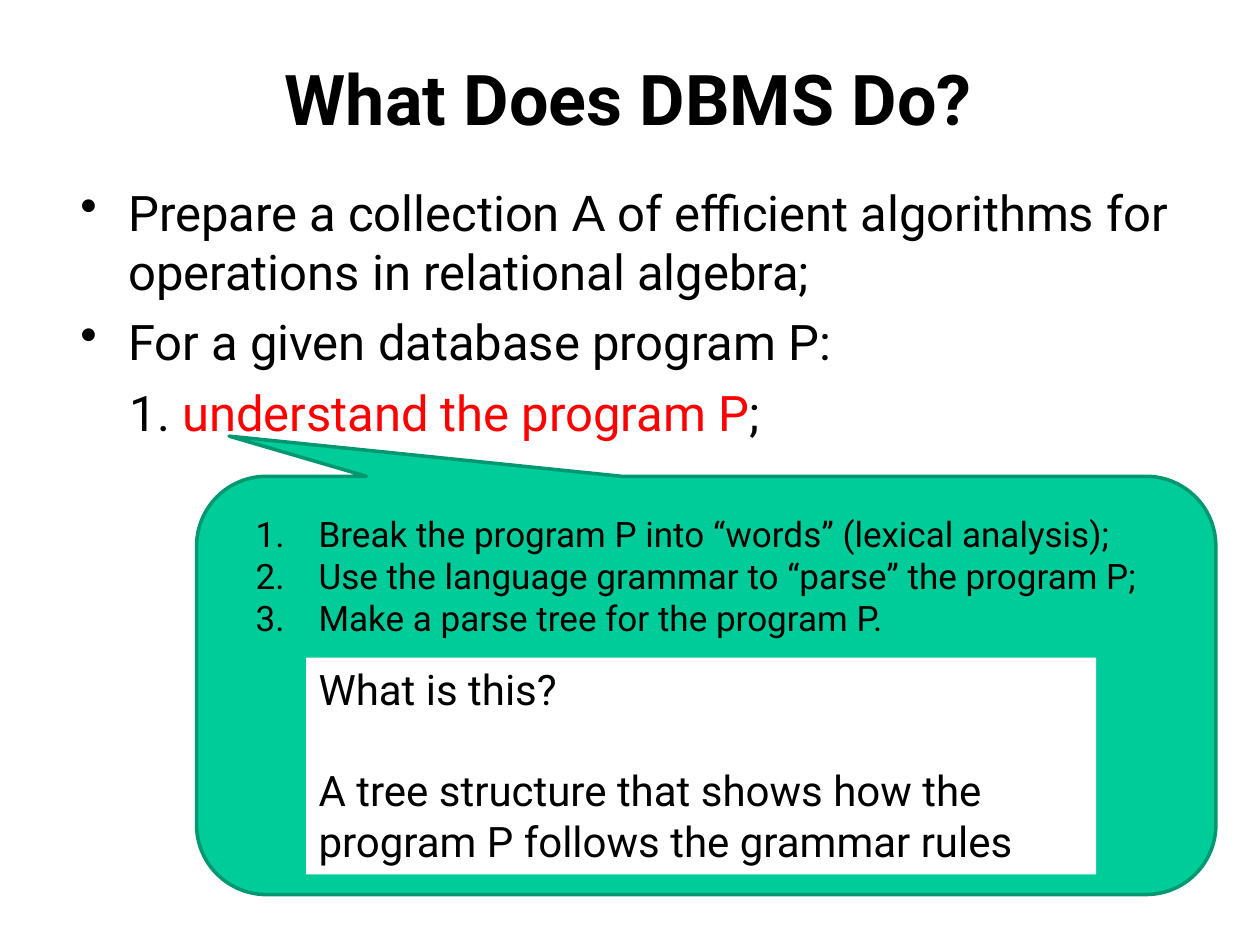
import pptx
import pptx.util
import pptx.dml.color
import pptx.enum.shapes
import pptx.enum.text
import pptx.oxml.ns
import lxml.etree

Inches, Pt = pptx.util.Inches, pptx.util.Pt
SHAPES = pptx.enum.shapes.MSO_SHAPE
ALIGN = pptx.enum.text.PP_ALIGN

# Content: each paragraph is a list of (text, font, colour) runs
BLACK, RED, WHITE = "000000", "FF0000", "FFFFFF"
GREEN, DARK_GREEN = "00CC99", "009771"
MAIN, ACCENT = "Roboto", "Lato"

TITLE = "What Does DBMS Do?"
TASKS = [
    [("Prepare a collection ", MAIN, BLACK), ("A", ACCENT, BLACK),
     (" of efficient algorithms for operations in relational algebra;", MAIN, BLACK)],
    [("For a given database program P:", MAIN, BLACK)],
]
FIRST_STEP = [("1. ", MAIN, BLACK), ("understand the program P", MAIN, RED), (";", MAIN, BLACK)]
PARSING_STEPS = [
    "Break the program P into “words” (lexical analysis);",
    "Use the language grammar to “parse” the program P;",
    "Make a parse tree for the program P.",
]
QUESTION = "What is this?"
ANSWER = "A tree structure that shows how the program P follows the grammar rules"

# Places: left, top, width, height in inches
TITLE_AREA = (1.81, 0.39, 6.35, 0.77)
TASKS_AREA = (0.54, 1.4, 9, 5.54)
CALLOUT_AREA = (1.56, 3.78, 8.09, 3.32)
STEPS_AREA = (1.93, 4.02, 7.41, 1.11)
ANSWER_AREA = (2.43, 5.22, 6.27, 1.72)
CALLOUT_ADJUSTMENTS = (-0.468, -0.596, 0.167)


def color(value):
    return pptx.dml.color.RGBColor.from_string(value)


def add_text_area(area, wrap=True):
    frame = slide.shapes.add_textbox(*map(Inches, area)).text_frame
    frame.word_wrap = wrap
    return frame


def add_panel(kind, area, fill):
    panel = slide.shapes.add_shape(kind, *map(Inches, area))
    panel.shadow.inherit = False
    panel.fill.solid()
    panel.fill.fore_color.rgb = color(fill)
    panel.line.fill.background()
    return panel


def add_paragraph(frame, runs, size, before=0, align=ALIGN.LEFT, bold=False,
                  margin=0, hanging=0, bullet=None):
    first = not frame.paragraphs[0].runs
    paragraph = frame.paragraphs[0] if first else frame.add_paragraph()
    paragraph.alignment = align
    if not first:
        paragraph.space_before = Pt(before)
    properties = paragraph._p.get_or_add_pPr()
    properties.set("marL", str(Inches(margin)))
    properties.set("indent", str(-Inches(hanging)))
    if bullet:
        tag, attribute, value = bullet
        mark = lxml.etree.SubElement(properties, pptx.oxml.ns.qn(tag))
        mark.set(attribute, value)
    for text, font, tint in runs:
        run = paragraph.add_run()
        run.text = text
        run.font.name = font
        run.font.size = Pt(size)
        run.font.bold = bold
        run.font.color.rgb = color(tint)


deck = pptx.Presentation()
deck.slide_width, deck.slide_height = Inches(10), Inches(7.5)
slide = deck.slides.add_slide(deck.slide_layouts[6])

# Main tasks and the first step
tasks = add_text_area(TASKS_AREA)
for task in TASKS:
    add_paragraph(tasks, task, 28, before=6.6, margin=0.38, hanging=0.38,
                  bullet=("a:buChar", "char", "•"))
add_paragraph(tasks, FIRST_STEP, 28, before=6.6, margin=0.39)

# Title
title = add_text_area(TITLE_AREA, wrap=False)
add_paragraph(title, [(TITLE, MAIN, BLACK)], 40, align=ALIGN.CENTER, bold=True)

# Callout pointing at the first step
callout = add_panel(SHAPES.ROUNDED_RECTANGULAR_CALLOUT, CALLOUT_AREA, GREEN)
callout.line.color.rgb = color(DARK_GREEN)
callout.line.width = Pt(2)
for index, value in enumerate(CALLOUT_ADJUSTMENTS):
    callout.adjustments[index] = value

# Numbered parsing steps
steps = add_text_area(STEPS_AREA)
for step in PARSING_STEPS:
    add_paragraph(steps, [(step, MAIN, BLACK)], 20, margin=0.5, hanging=0.5,
                  bullet=("a:buAutoNum", "type", "arabicPeriod"))

# Question and answer, one line apart
answer = add_panel(SHAPES.RECTANGLE, ANSWER_AREA, WHITE).text_frame
answer.word_wrap = True
answer.vertical_anchor = pptx.enum.text.MSO_ANCHOR.TOP
add_paragraph(answer, [(QUESTION, MAIN, BLACK)], 24)
add_paragraph(answer, [(ANSWER, MAIN, BLACK)], 24, before=28.8)

deck.save("out.pptx")
